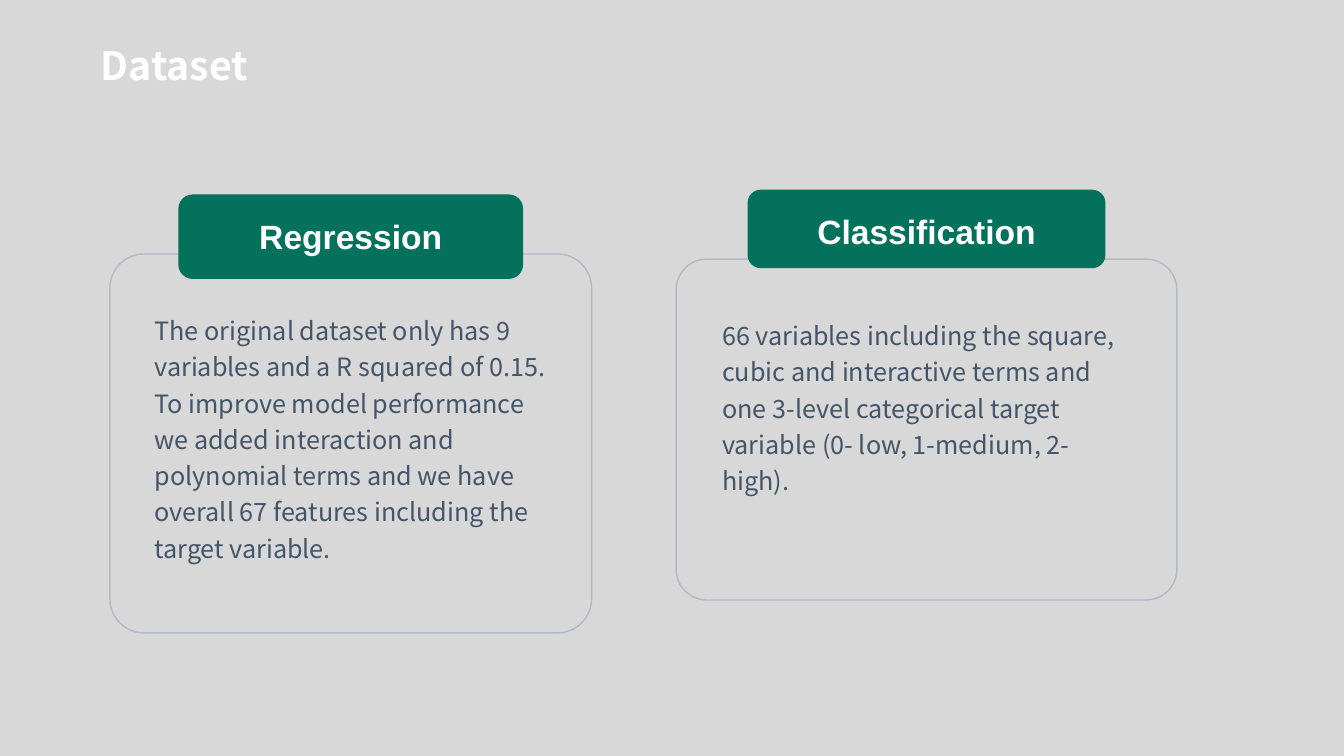
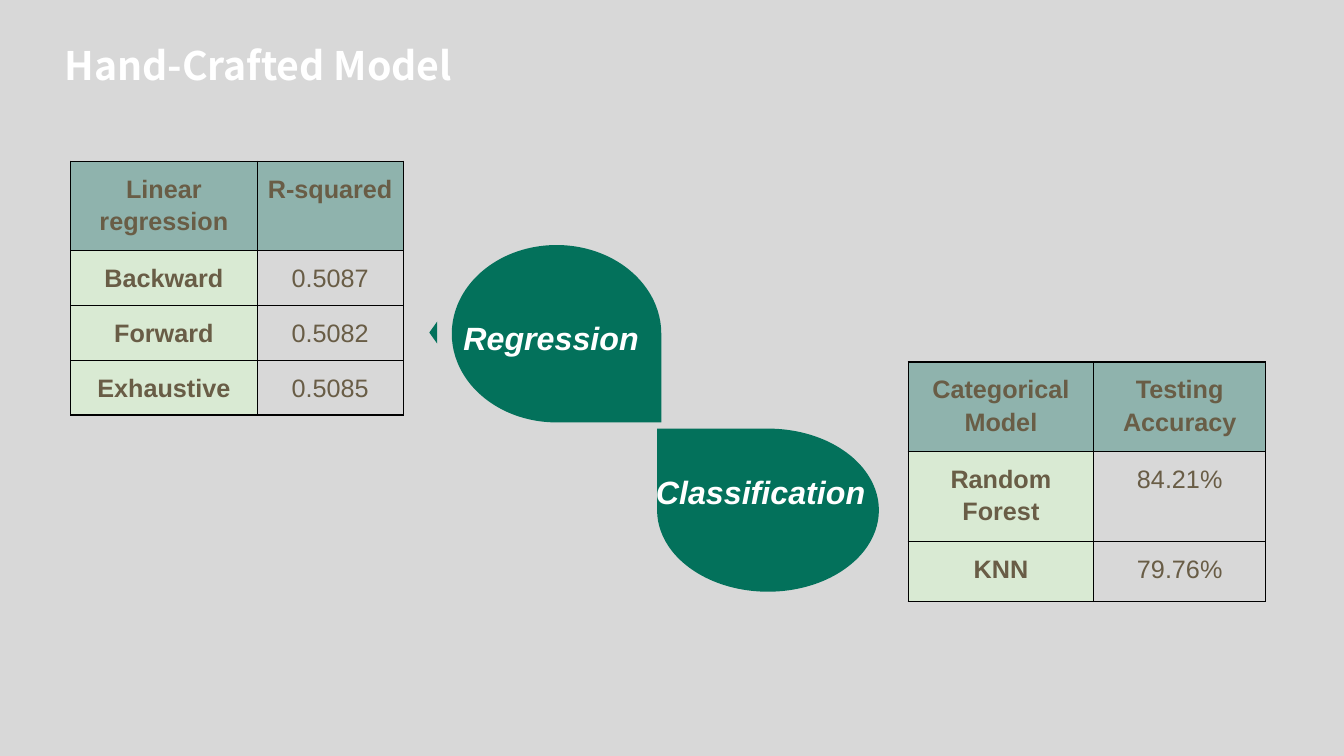
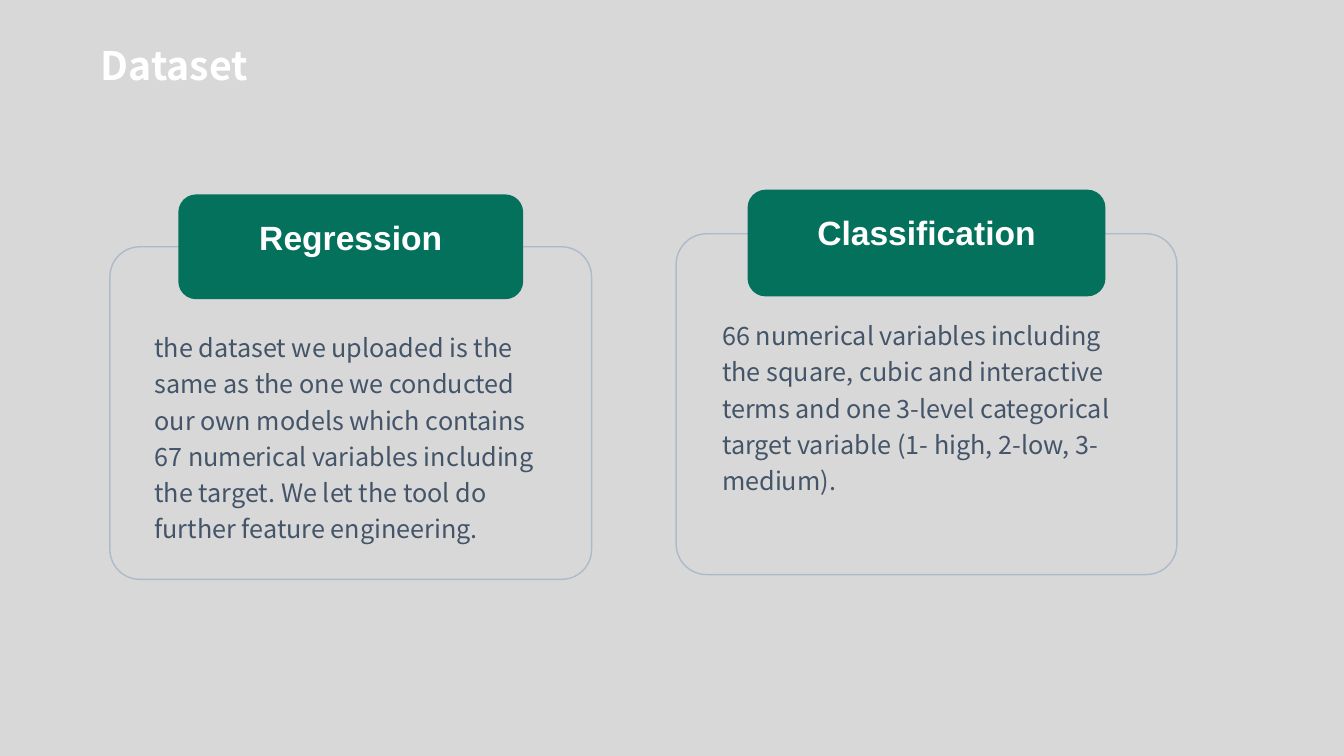
import dataclasses

import lxml.etree
import pptx
import pptx.dml.color
import pptx.enum.shapes
import pptx.enum.text
import pptx.oxml.ns
import pptx.util

Cm = pptx.util.Cm
Pt = pptx.util.Pt
Align = pptx.enum.text.PP_ALIGN
Anchor = pptx.enum.text.MSO_ANCHOR
Preset = pptx.enum.shapes.MSO_SHAPE
color = pptx.dml.color.RGBColor.from_string
qn = pptx.oxml.ns.qn


@dataclasses.dataclass(frozen=True)
class Theme:
    background = color("D8D8D8")
    green = color("03715B")
    outline = color("ADBACA")
    header = color("8FB3AD")
    row_label = color("D9EAD3")
    white = color("FFFFFF")
    slate = color("445469")
    brown = color("695D46")
    border = "000000"
    heading_font = "Noto Sans CJK SC"
    label_font = "Arial"
    title_size = Pt(28)
    tab_size = Pt(24)
    drop_size = Pt(23)
    body_size = Pt(18)


theme = Theme()

styles = {
    "title": {
        "font": {"name": theme.heading_font, "size": theme.title_size, "bold": True},
        "paragraph": {"alignment": Align.LEFT},
        "color": theme.white,
    },
    "body": {
        "font": {"name": theme.heading_font, "size": theme.body_size},
        "paragraph": {"alignment": Align.LEFT, "line_spacing": 1.2},
        "color": theme.slate,
    },
    "tab": {
        "font": {"name": theme.label_font, "size": theme.tab_size, "bold": True},
        "paragraph": {"alignment": Align.CENTER},
        "color": theme.white,
    },
    "drop": {
        "font": {"name": theme.label_font, "size": theme.drop_size, "bold": True, "italic": True},
        "paragraph": {"alignment": Align.LEFT},
        "color": theme.white,
    },
    "cell": {
        "font": {"name": theme.label_font, "size": theme.body_size},
        "paragraph": {"alignment": Align.CENTER, "line_spacing": 1.15},
        "color": theme.brown,
    },
}


def write(text_frame, text, style_name, **frame_format):
    style = styles[style_name]
    text_frame.text = text
    paragraph = text_frame.paragraphs[0]
    font = paragraph.runs[0].font
    for target, values in (
        (text_frame, {"word_wrap": True, **frame_format}),
        (paragraph, style["paragraph"]),
        (font, style["font"]),
    ):
        for name, value in values.items():
            setattr(target, name, value)
    font.color.rgb = style["color"]
    return font


def draw(slide, preset, box, fill=None, line=None, rotation=0, adjustment=None):
    shape = slide.shapes.add_shape(preset, *map(Cm, box))
    shape.shadow.inherit = False
    shape.rotation = rotation
    if adjustment is not None:
        shape.adjustments[0] = adjustment
    for paint, paint_color in ((shape.fill, fill), (shape.line.fill, line)):
        if paint_color is None:
            paint.background()
        else:
            paint.solid()
            paint.fore_color.rgb = paint_color
    if line is not None:
        shape.line.width = Pt(1)
    return shape


presentation = pptx.Presentation()
presentation.slide_width = Cm(33.87)
presentation.slide_height = Cm(19.05)
master_fill = presentation.slide_master.background.fill
master_fill.solid()
master_fill.fore_color.rgb = theme.background
layout = presentation.slide_layouts.get_by_name("Title Only")

slides = []
for title_text, title_left in (("Dataset", 2.29), ("Hand-Crafted Model", 1.37), ("Dataset", 2.29)):
    slide = presentation.slides.add_slide(layout)
    title = slide.shapes.title
    title_box = {"left": title_left, "top": 0.91, "width": 12.04, "height": 1.45}
    for name, value in title_box.items():
        setattr(title, name, Cm(value))
    write(title.text_frame, title_text, "title",
          vertical_anchor=Anchor.MIDDLE, auto_size=pptx.enum.text.MSO_AUTO_SIZE.NONE)
    slides.append(slide)
dataset_slide, model_slide, upload_slide = slides

columns = {
    "Regression": {"center": 8.84, "card": 12.14, "body": 10.39, "tab": 8.69},
    "Classification": {"center": 23.35, "card": 12.62, "body": 10.8, "tab": 9.02},
}
cards = (
    (dataset_slide, "Regression",
     {"card": (6.4, 9.55), "body": (7.67, 6.32), "tab": (4.9, 2.13)},
     "The original dataset only has 9 variables and a R squared of 0.15. To improve model "
     "performance we added interaction and polynomial terms and we have overall 67 features "
     "including the target variable."),
    (dataset_slide, "Classification",
     {"card": (6.53, 8.59), "body": (7.8, 5.69), "tab": (4.78, 1.98)},
     "66 variables including the square, cubic and interactive terms and one 3-level "
     "categorical target variable (0- low, 1-medium, 2-high)."),
    (upload_slide, "Regression",
     {"card": (6.22, 8.38), "body": (8.1, 5.56), "tab": (4.9, 2.64)},
     "the dataset we uploaded is the same as the one we conducted our own models which "
     "contains 67 numerical variables including the target. We let the tool do further "
     "feature engineering."),
    (upload_slide, "Classification",
     {"card": (5.89, 8.59), "body": (7.8, 5.69), "tab": (4.78, 2.69)},
     "66 numerical variables including the square, cubic and interactive terms and one "
     "3-level categorical target variable (1- high, 2-low, 3-medium)."),
)
for slide, label, rows, body_text in cards:
    column = columns[label]
    boxes = {
        part: (column["center"] - column[part] / 2, top, column[part], height)
        for part, (top, height) in rows.items()
    }
    draw(slide, Preset.ROUNDED_RECTANGLE, boxes["card"], line=theme.outline, adjustment=0.09)
    body = slide.shapes.add_textbox(*map(Cm, boxes["body"]))
    write(body.text_frame, body_text, "body")
    tab = draw(slide, Preset.ROUNDED_RECTANGLE, boxes["tab"], fill=theme.green, adjustment=0.17)
    write(tab.text_frame, label, "tab", vertical_anchor=Anchor.TOP, margin_top=Cm(0.43))

for preset, box, rotation in (
    (Preset.TEAR, (17.3, 10.06, 4.11, 5.59), 270),
    (Preset.TEAR, (11.79, 5.77, 4.47, 5.28), 90),
    (Preset.ISOSCELES_TRIANGLE, (10.64, 8.28, 0.56, 0.2), 270),
):
    draw(model_slide, preset, box, fill=theme.green, rotation=rotation)

for label, box in (
    ("Classification", (16.28, 11.79, 6.6, 1.96)),
    ("Regression", (11.43, 7.9, 5.97, 1.96)),
):
    drop_label = model_slide.shapes.add_textbox(*map(Cm, box))
    write(drop_label.text_frame, label, "drop")

cell_margins = {
    "margin_left": Cm(0.18), "margin_right": Cm(0.18),
    "margin_top": Cm(0.25), "margin_bottom": Cm(0.25),
    "vertical_anchor": Anchor.TOP,
}
result_tables = (
    ((1.78, 4.06), (4.7, 3.68), (2.26, 1.38, 1.38, 1.38), (
        ("Linear regression", "R-squared"),
        ("Backward", "0.5087"),
        ("Forward", "0.5082"),
        ("Exhaustive", "0.5085"),
    )),
    ((22.89, 9.12), (4.67, 4.34), (2.26, 2.27, 1.5), (
        ("Categorical Model", "Testing Accuracy"),
        ("Random Forest", "84.21%"),
        ("KNN", "79.76%"),
    )),
)
for (left, top), widths, heights, records in result_tables:
    frame = model_slide.shapes.add_table(
        len(heights), len(widths), Cm(left), Cm(top), Cm(sum(widths)), Cm(sum(heights)))
    table = frame.table
    table.first_row = table.horz_banding = False
    for table_column, width in zip(table.columns, widths):
        table_column.width = Cm(width)
    for table_row, height, record in zip(table.rows, heights, records):
        table_row.height = Cm(height)
        for column_index, (cell, text) in enumerate(zip(table_row.cells, record)):
            is_header = record is records[0]
            is_label = is_header or column_index == 0
            for name, value in cell_margins.items():
                setattr(cell, name, value)
            write(cell.text_frame, text, "cell").bold = is_label
            properties = cell._tc.get_or_add_tcPr()
            for edge in ("a:lnL", "a:lnR", "a:lnT", "a:lnB"):
                border = lxml.etree.SubElement(properties, qn(edge), w=str(Pt(1)))
                paint = lxml.etree.SubElement(border, qn("a:solidFill"))
                lxml.etree.SubElement(paint, qn("a:srgbClr"), val=theme.border)
            if is_label:
                cell.fill.solid()
                cell.fill.fore_color.rgb = theme.header if is_header else theme.row_label
            else:
                cell.fill.background()

presentation.save("out.pptx")
